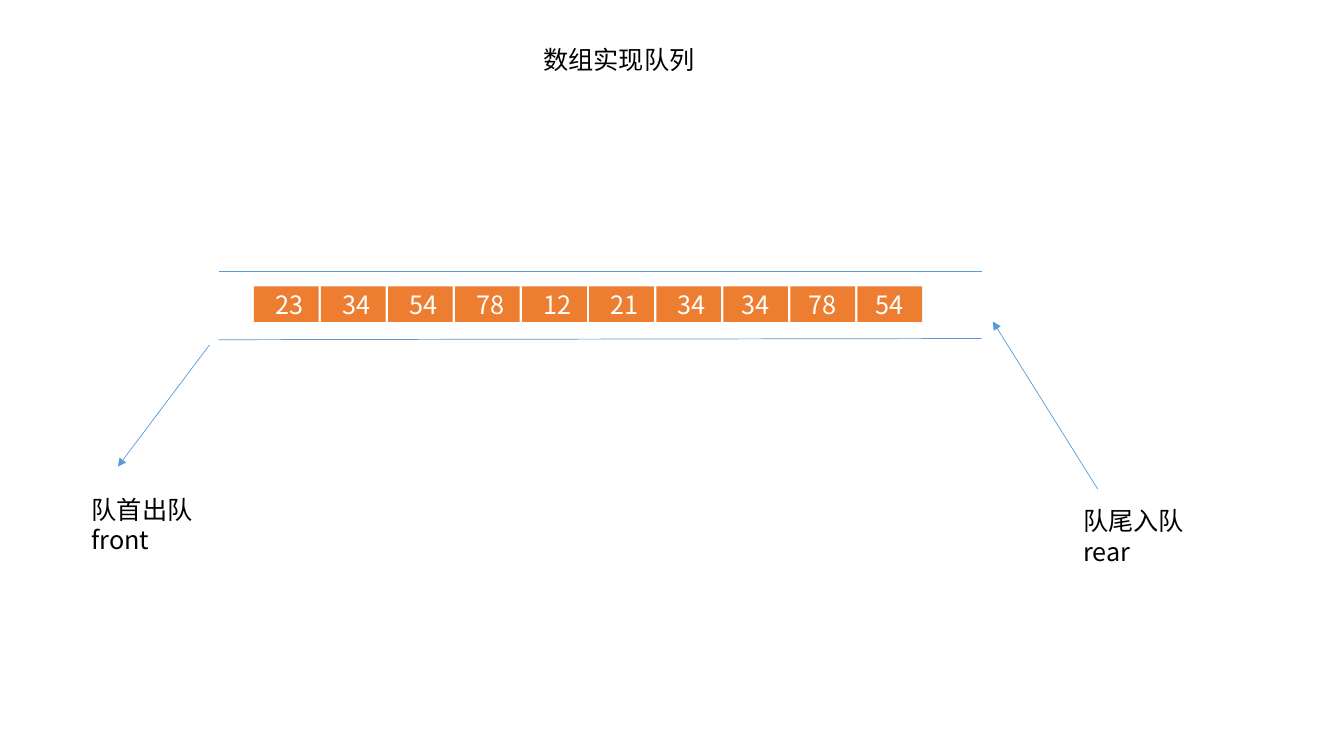
from collections import namedtuple
from dataclasses import dataclass

from lxml import etree
from pptx import Presentation
from pptx import util as u
from pptx.dml.color import RGBColor
from pptx.enum import shapes, text
from pptx.oxml.ns import qn

Box = namedtuple("Box", "left top width height")


@dataclass(frozen=True)
class Theme:
    font: str = "Noto Sans CJK SC"
    size: u.Pt = u.Pt(18)
    line_width: u.Pt = u.Pt(0.5)
    ink: RGBColor = RGBColor(0x00, 0x00, 0x00)
    cell_ink: RGBColor = RGBColor(0xFF, 0xFF, 0xFF)
    cell: RGBColor = RGBColor(0xED, 0x7D, 0x31)
    line: RGBColor = RGBColor(0x5B, 0x9B, 0xD5)


THEME = Theme()


def in_cm(box):
    return [u.Cm(length) for length in box]


def style_paragraphs(frame, color, alignment):
    for paragraph in frame.paragraphs:
        paragraph.alignment = alignment
        paragraph.font.name = THEME.font
        paragraph.font.size = THEME.size
        paragraph.font.color.rgb = color
        defaults = paragraph._p.pPr.find(qn("a:defRPr"))
        etree.SubElement(defaults, qn("a:ea"), typeface=THEME.font)


def write_label(frame, wording, wrap=False):
    frame.text = wording
    frame.word_wrap = wrap
    frame.auto_size = text.MSO_AUTO_SIZE.SHAPE_TO_FIT_TEXT
    frame.vertical_anchor = text.MSO_ANCHOR.TOP
    style_paragraphs(frame, THEME.ink, text.PP_ALIGN.LEFT)


def draw_line(slide, start, end, arrow=False):
    line = slide.shapes.add_connector(
        shapes.MSO_CONNECTOR.STRAIGHT, *in_cm(start + end))
    line.line.color.rgb = THEME.line
    line.line.width = THEME.line_width
    properties = line._element.spPr
    if arrow:
        etree.SubElement(properties.find(qn("a:ln")), qn("a:tailEnd"), type="triangle")
    etree.SubElement(properties, qn("a:effectLst"))


def add_heading(slide, box, wording):
    heading = slide.shapes.title
    heading.left, heading.top, heading.width, heading.height = in_cm(box)
    write_label(heading.text_frame, wording)


def add_queue(slide, box, values):
    right, bottom = box.left + box.width, box.top + box.height
    draw_line(slide, (box.left, box.top), (right, box.top))
    draw_line(slide, (box.left, bottom), (right, bottom - 0.03))

    pitch, cell_width, cell_height = 1.69, 1.63, 0.89
    first_left, cell_top = box.left + 0.89, box.top + 0.39
    centred_from = 7
    for index, value in enumerate(values):
        place = Box(first_left + index * pitch, cell_top, cell_width, cell_height)
        cell = slide.shapes.add_shape(shapes.MSO_SHAPE.RECTANGLE, *in_cm(place))
        cell.shadow.inherit = False
        cell.fill.solid()
        cell.fill.fore_color.rgb = THEME.cell
        cell.line.fill.background()
        frame = cell.text_frame
        frame.text = str(value)
        frame.vertical_anchor = text.MSO_ANCHOR.MIDDLE
        if index < centred_from:
            frame.margin_left = u.Cm(0.4)
        style_paragraphs(frame, THEME.cell_ink, text.PP_ALIGN.CENTER)


def add_queue_end(slide, box, wording, arrow_start, arrow_end, wrap=False):
    label = slide.shapes.add_textbox(*in_cm(box))
    write_label(label.text_frame, wording, wrap)
    start, end = ((box.left + x, box.top + y) for x, y in (arrow_start, arrow_end))
    draw_line(slide, start, end, arrow=True)


def main():
    deck = Presentation()
    deck.slide_width, deck.slide_height = u.Cm(33.87), u.Cm(19.05)
    slide = deck.slides.add_slide(deck.slide_layouts.get_by_name("Title Only"))

    add_heading(slide, Box(13.44, 0.99, 4.37, 1.02), "数组实现队列")
    add_queue(slide, Box(5.51, 6.83, 19.23, 1.73),
              [23, 34, 54, 78, 12, 21, 34, 34, 78, 54])
    add_queue_end(slide, Box(27.05, 12.62, 3.07, 1.8), "队尾入队\nrear",
                  arrow_start=(0.61, -0.3), arrow_end=(-2.03, -4.52))
    add_queue_end(slide, Box(2.06, 12.32, 3.23, 1.8), "队首出队\nfront",
                  arrow_start=(3.22, -3.63), arrow_end=(0.91, -0.56), wrap=True)

    deck.save("out.pptx")


if __name__ == "__main__":
    main()
